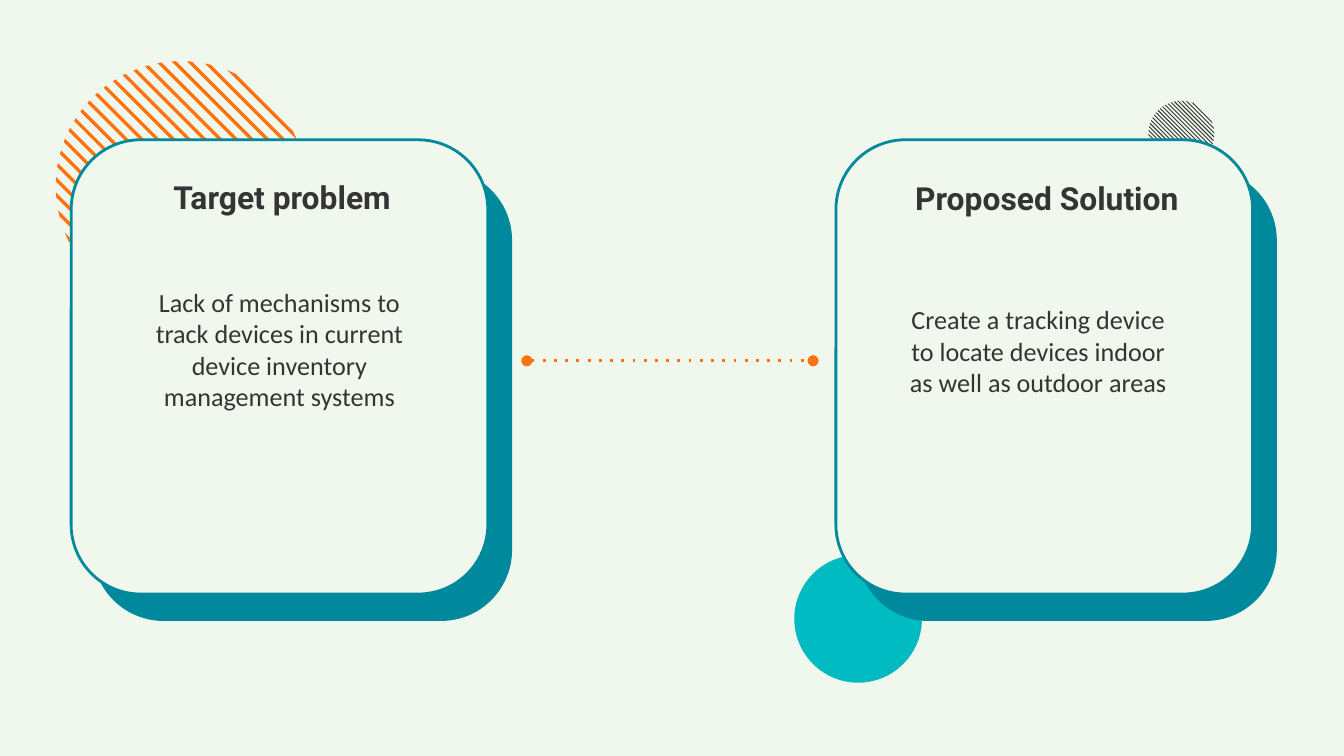
import math
from dataclasses import dataclass

import lxml.etree
import pptx
import pptx.dml.color
import pptx.enum.dml
import pptx.enum.shapes
import pptx.enum.text
import pptx.oxml.ns
import pptx.util

CELL = pptx.util.Inches(0.1)
COLUMNS, ROWS = 100, 56.25
COLORS = {
    "background": "F0F7ED",
    "text": "343434",
    "teal": "00899D",
    "turquoise": "00BBC1",
    "orange": "FF7210",
}
SHAPES = pptx.enum.shapes.MSO_SHAPE


@dataclass(frozen=True)
class Box:
    column: float
    row: float
    columns: float
    rows: float

    def lengths(self) -> list[int]:
        return [cells(n) for n in (self.column, self.row, self.columns, self.rows)]


@dataclass(frozen=True)
class HatchedDisc:
    column: float
    row: float
    radius: float
    stripes: int
    stripe_width: float
    reach: float
    color: str


@dataclass(frozen=True)
class Label:
    box: Box
    text: str
    font: str
    size: int
    bold: bool = False


@dataclass(frozen=True)
class Card:
    column: float
    labels: tuple[Label, ...]


SMALL_DISC = HatchedDisc(87.9, 9.95, 2.45, 21, 0.07, 2.25, "text")
LARGE_DISC = HatchedDisc(13.45, 13.85, 9.3, 22, 0.25, 8.8, "orange")
TURQUOISE_DISC = Box(59.1, 41.3, 9.5, 9.5)
CARD_ROW, CARD_COLUMNS, CARD_ROWS = 10.4, 31, 33.8
SHADOW_SHIFT, SHADOW_ROW, SHADOW_ROWS = 1.7, 12.7, 33.4

CARDS = (
    Card(5.3, (
        Label(Box(8.8, 20.3, 24, 12.2),
              "Lack of mechanisms to track devices in current device inventory management systems",
              "Calibri", 14),
        Label(Box(9.8, 12.2, 22.4, 4), "Target problem", "Roboto", 17, True),
    )),
    Card(62.2, (
        Label(Box(66.5, 21.6, 21.5, 12.2),
              "Create a tracking device to locate devices indoor as well as outdoor areas",
              "Calibri", 14),
        Label(Box(66.7, 12.3, 22.4, 4), "Proposed Solution", "Roboto", 17, True),
    )),
)


def cells(count: float) -> int:
    return round(count * CELL)


def rgb(name: str) -> pptx.dml.color.RGBColor:
    return pptx.dml.color.RGBColor.from_string(COLORS[name])


def paint(shape, fill: str, line: str | None = None) -> None:
    shape.shadow.inherit = False
    shape.fill.solid()
    shape.fill.fore_color.rgb = rgb(fill)
    if line is None:
        shape.line.fill.background()
    else:
        shape.line.color.rgb = rgb(line)
        shape.line.width = pptx.util.Pt(1.5)


def draw_hatched_disc(slide, disc: HatchedDisc) -> None:
    def chord(offset: float) -> list[tuple[int, int]]:
        half = math.sqrt(disc.radius ** 2 - offset ** 2)
        return [
            (cells(disc.column + (offset + end) / math.sqrt(2)),
             cells(disc.row + (end - offset) / math.sqrt(2)))
            for end in (-half, half)
        ]

    pitch = (2 * disc.reach - disc.stripe_width) / (disc.stripes - 1)
    for index in range(disc.stripes):
        outer = disc.reach - index * pitch
        start, end = chord(outer)
        inner_start, inner_end = chord(outer - disc.stripe_width)
        builder = slide.shapes.build_freeform(*start)
        builder.add_line_segments([end, inner_end, inner_start], close=True)
        paint(builder.convert_to_shape(), disc.color)


def draw_panel(slide, box: Box, fill: str) -> None:
    shape = slide.shapes.add_shape(SHAPES.ROUNDED_RECTANGLE, *box.lengths())
    shape.adjustments[0] = 0.167
    paint(shape, fill, "teal")


def draw_label(slide, label: Label) -> None:
    frame = slide.shapes.add_textbox(*label.box.lengths()).text_frame
    frame.word_wrap = True
    frame.margin_left = frame.margin_right = cells(1)
    frame.margin_top = frame.margin_bottom = cells(1)
    paragraph = frame.paragraphs[0]
    paragraph.alignment = pptx.enum.text.PP_ALIGN.CENTER
    run = paragraph.add_run()
    run.text = label.text
    run.font.name = label.font
    run.font.size = pptx.util.Pt(label.size)
    run.font.bold = label.bold
    run.font.color.rgb = rgb("text")


def draw_card(slide, card: Card) -> None:
    draw_panel(slide, Box(card.column + SHADOW_SHIFT, SHADOW_ROW, CARD_COLUMNS, SHADOW_ROWS), "teal")
    draw_panel(slide, Box(card.column, CARD_ROW, CARD_COLUMNS, CARD_ROWS), "background")
    for label in card.labels:
        draw_label(slide, label)


def draw_dotted_link(slide, start: float, end: float, row: float) -> None:
    connector = slide.shapes.add_connector(
        pptx.enum.shapes.MSO_CONNECTOR.STRAIGHT,
        cells(start), cells(row), cells(end), cells(row))
    connector.line.color.rgb = rgb("orange")
    connector.line.width = pptx.util.Pt(1.5)
    connector.line.dash_style = pptx.enum.dml.MSO_LINE.ROUND_DOT
    properties = connector._element.spPr
    line = properties.find(pptx.oxml.ns.qn("a:ln"))
    line.find(pptx.oxml.ns.qn("a:prstDash")).set("val", "dot")
    for tag in ("a:headEnd", "a:tailEnd"):
        lxml.etree.SubElement(line, pptx.oxml.ns.qn(tag), type="oval")
    lxml.etree.SubElement(properties, pptx.oxml.ns.qn("a:effectLst"))


def main() -> None:
    presentation = pptx.Presentation()
    presentation.slide_width = cells(COLUMNS)
    presentation.slide_height = cells(ROWS)
    slide = presentation.slides.add_slide(presentation.slide_layouts[6])
    slide.background.fill.solid()
    slide.background.fill.fore_color.rgb = rgb("background")

    draw_hatched_disc(slide, SMALL_DISC)
    paint(slide.shapes.add_shape(SHAPES.OVAL, *TURQUOISE_DISC.lengths()), "turquoise")
    draw_hatched_disc(slide, LARGE_DISC)
    for card in CARDS:
        draw_card(slide, card)
    draw_dotted_link(slide, 39.2, 60.5, 26.85)

    presentation.save("out.pptx")


if __name__ == "__main__":
    main()
